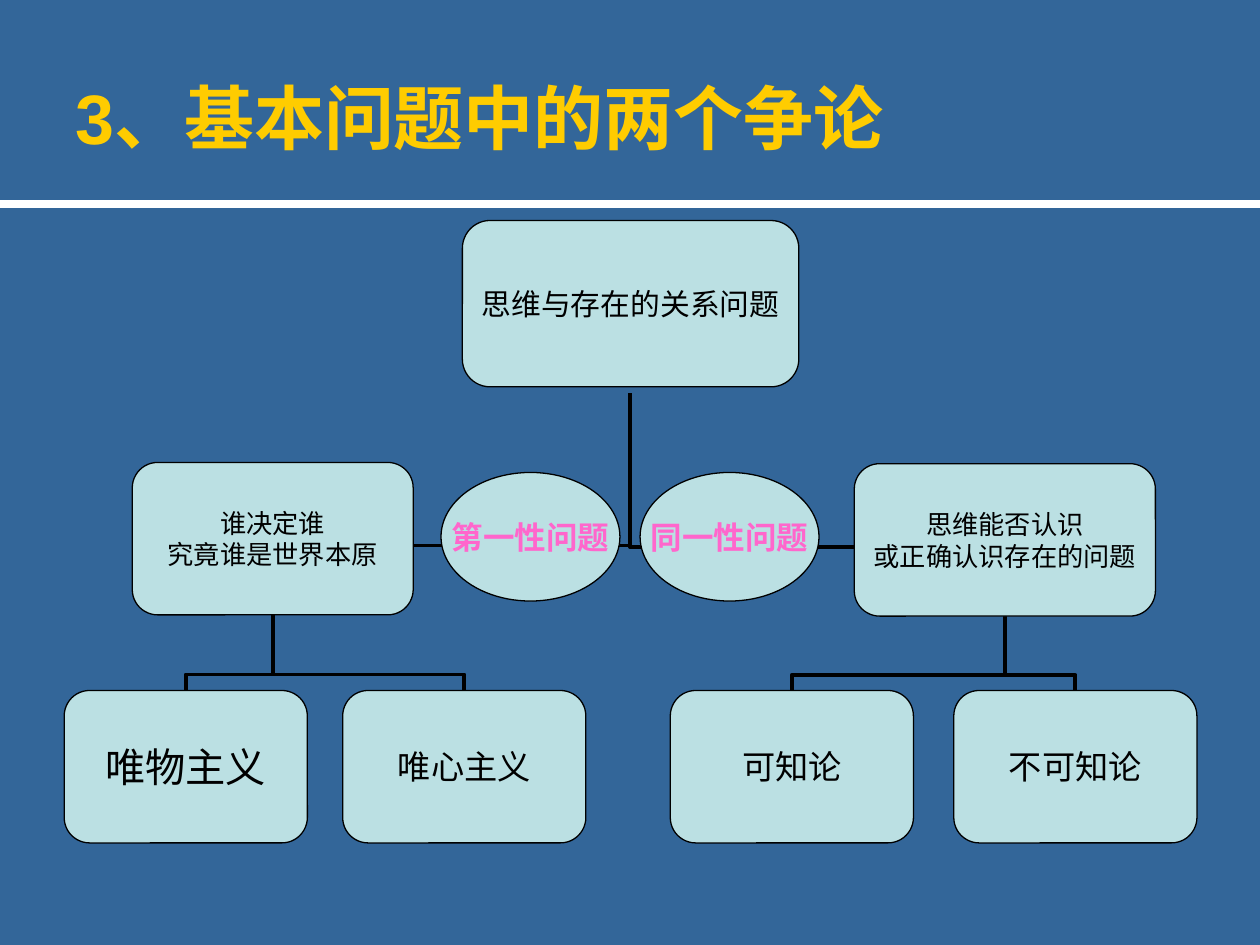
from lxml import etree
from pptx import Presentation
from pptx.dml.color import RGBColor
from pptx.enum.shapes import MSO_CONNECTOR, MSO_SHAPE
from pptx.enum.text import MSO_ANCHOR, PP_ALIGN
from pptx.oxml.ns import qn
from pptx.util import Inches, Pt

ROUND, OVAL = MSO_SHAPE.ROUNDED_RECTANGLE, MSO_SHAPE.OVAL
STRAIGHT, ELBOW = MSO_CONNECTOR.STRAIGHT, MSO_CONNECTOR.ELBOW
LEFT, CENTER = PP_ALIGN.LEFT, PP_ALIGN.CENTER
MIDDLE = MSO_ANCHOR.MIDDLE

COLS, ROWS = 100, 75  # grid of 0.1 inch cells
CJK = "Noto Sans CJK KR"
BLUE, YELLOW, PALE, PINK = "336699", "FFCC00", "BBE0E3", "FF66CC"
BLACK, WHITE = "000000", "FFFFFF"


def grid(n):
    return Inches(n / 10)


def rgb(value):
    return RGBColor.from_string(value)


def write(shape, text, size, font=CJK, color=BLACK, bold=False,
          align=CENTER, inset=(0, 0), wrap=False):
    tf = shape.text_frame
    tf.word_wrap = wrap
    tf.vertical_anchor = MIDDLE
    tf.margin_left = tf.margin_right = grid(inset[0])
    tf.margin_top = tf.margin_bottom = grid(inset[1])
    for i, line in enumerate(text.split("\n")):
        p = tf.add_paragraph() if i else tf.paragraphs[0]
        p.alignment = align
        r = p.add_run()
        r.text = line
        r.font.size, r.font.bold, r.font.name = Pt(size), bold, font
        r.font.color.rgb = rgb(color)
        ea = etree.SubElement(r.font._element, qn("a:ea"))
        ea.set("typeface", CJK)


def node(s, box, text, size, kind=ROUND, **fmt):
    sp = s.shapes.add_shape(kind, *map(grid, box))
    sp.shadow.inherit = False
    sp.fill.solid()
    sp.fill.fore_color.rgb = rgb(PALE)
    sp.line.color.rgb = rgb(BLACK)
    sp.line.width = Pt(0.75)
    write(sp, text, size, **fmt)


def connector(s, start, end, kind=ELBOW, color=BLACK, width=2.25):
    c = s.shapes.add_connector(kind, *map(grid, start + end))
    c.line.color.rgb = rgb(color)
    c.line.width = Pt(width)
    etree.SubElement(c._element.spPr, qn("a:effectLst"))
    return c


def side_elbow(s, start, end):
    """Runs sideways from start, then turns up to end."""
    c = connector(s, start, end)
    geom = c._element.spPr.find(qn("a:prstGeom"))
    geom.set("prst", "bentConnector2")
    if end[0] < start[0]:
        xfrm = c._element.spPr.find(qn("a:xfrm"))
        for flip in ("flipH", "flipV"):
            xfrm.attrib.pop(flip, None)
        xfrm.set("rot", "10800000")


def drop_elbow(s, start, end, bend=0.79):
    """Runs down from start, across at the bend, then down to end."""
    c = connector(s, start, end)
    (x1, y1), (x2, y2) = start, end
    w, h = y2 - y1, abs(x2 - x1)  # size before the quarter turn
    c.left, c.top = grid((x1 + x2 - w) / 2), grid((y1 + y2 - h) / 2)
    c.width, c.height = grid(w), grid(h)
    xfrm = c._element.spPr.find(qn("a:xfrm"))
    for flip in ("flipH", "flipV"):
        xfrm.attrib.pop(flip, None)
    xfrm.set("rot", "5400000" if x2 < x1 else "16200000")
    if x2 > x1:
        xfrm.set("flipH", "1")
    geom = c._element.spPr.find(qn("a:prstGeom"))
    guides = geom.find(qn("a:avLst"))
    if guides is None:
        guides = etree.SubElement(geom, qn("a:avLst"))
    gd = etree.SubElement(guides, qn("a:gd"))
    gd.set("name", "adj1")
    gd.set("fmla", f"val {round(bend * 100000)}")


def header(s, box, text):
    connector(s, (0, 16.2), (COLS, 16.2), STRAIGHT, WHITE, 4.5)
    write(s.shapes.add_textbox(*map(grid, box)), text, 40, font="Arial",
          color=YELLOW, bold=True, align=LEFT, inset=(1, 0.5), wrap=True)


def branch(s, box, question, leaves, first, step):
    """A question box with its answers spaced evenly below."""
    x, y, w, h = box
    leaf_y, leaf_w, leaf_h = 54.8, 19.3, 12.1
    for i, (text, size) in enumerate(leaves):
        left = first + i * step
        drop_elbow(s, (x + w / 2, y + h), (left + leaf_w / 2, leaf_y))
        node(s, (left, leaf_y, leaf_w, leaf_h), text, size)
    node(s, box, question, 15)


def tree(s):
    left_box, right_box = (10.5, 36.7, 22.3, 12.1), (67.8, 36.8, 23.9, 12.1)
    stem = (COLS / 2, 31.2)
    side_elbow(s, (right_box[0], 43.4), stem)
    side_elbow(s, (left_box[0] + left_box[2], 43.3), stem)
    node(s, (36.7, 17.5, 26.7, 13.2), "思维与存在的关系问题", 17)
    branch(s, left_box, "谁决定谁\n究竟谁是世界本原",
           [("唯物主义", 23), ("唯心主义", 19)], 5.1, 22.1)
    branch(s, right_box, "思维能否认识\n或正确认识存在的问题",
           [("可知论", 19), ("不可知论", 19)], 53.2, 22.5)
    # Labels over the side lines
    for x, text in ((35, "第一性问题"), (50.8, "同一性问题")):
        node(s, (x, 37.5, 14.2, 10.2), text, 18, OVAL, font="Cabin",
             color=PINK, bold=True, inset=(1, 0.5))


def main():
    prs = Presentation()
    prs.slide_width, prs.slide_height = grid(COLS), grid(ROWS)
    s = prs.slides.add_slide(prs.slide_layouts[6])
    s.background.fill.solid()
    s.background.fill.fore_color.rgb = rgb(BLUE)
    header(s, (5, 3, 90, 12.5), "3、基本问题中的两个争论")
    tree(s)
    prs.save("out.pptx")


if __name__ == "__main__":
    main()
